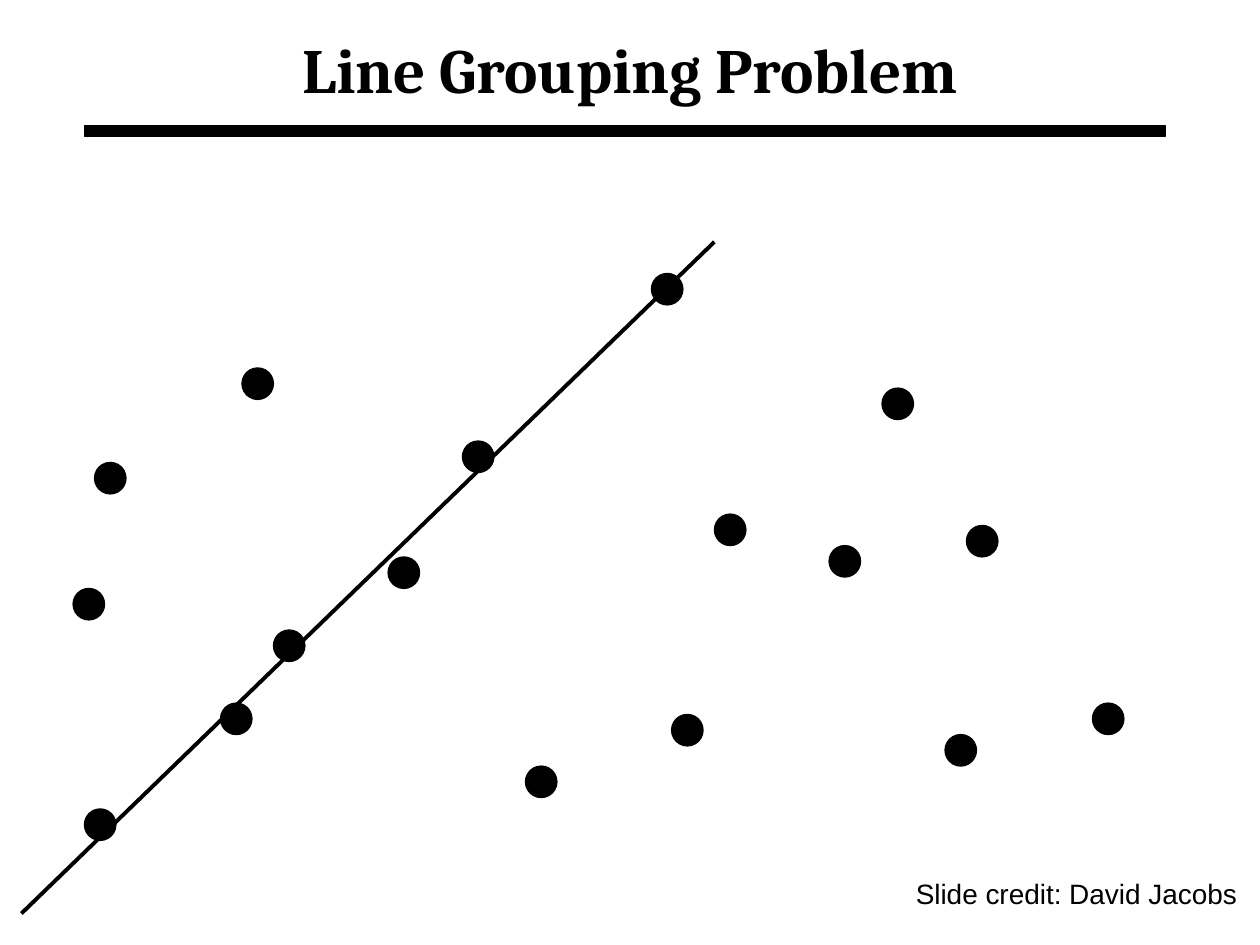
"""Build the Line Grouping Problem slide: scattered dots and one fitted line."""
from lxml.etree import SubElement
from pptx import Presentation
from pptx.dml.color import RGBColor
from pptx.enum.shapes import MSO_CONNECTOR, MSO_SHAPE
from pptx.enum.text import MSO_ANCHOR, PP_ALIGN
from pptx.oxml.ns import qn
from pptx.util import Inches, Pt

COLORS = {"ink": "000000", "paper": "FFFFFF"}
DOT_SIZE = 0.25
LINE_DOTS = [(2.17, 5), (3.08, 4.42), (3.67, 3.5), (5.17, 2.17), (1.75, 5.58), (0.67, 6.42)]
OTHER_DOTS = [
    (5.33, 5.67), (1.92, 2.92), (5.67, 4.08), (7.5, 5.83), (7.67, 4.17), (6.58, 4.33),
    (4.17, 6.08), (0.58, 4.67), (0.75, 3.67), (8.67, 5.58), (7, 3.08),
]


def color(name):
    return RGBColor.from_string(COLORS[name])


def add_solid(s, kind, x, y, w, h):
    sp = s.shapes.add_shape(kind, Inches(x), Inches(y), Inches(w), Inches(h))
    sp.shadow.inherit = False
    sp.fill.solid()
    sp.fill.fore_color.rgb = color("ink")
    sp.line.color.rgb = color("ink")
    sp.line.width = Pt(0.75)


def add_line(s, x1, y1, x2, y2):
    line = s.shapes.add_connector(
        MSO_CONNECTOR.STRAIGHT, Inches(x1), Inches(y1), Inches(x2), Inches(y2))
    line.line.color.rgb = color("ink")
    line.line.width = Pt(2.25)
    SubElement(line._element.spPr, qn("a:effectLst"))


def add_text(s, text, x, y, w, h, font, size, bold=False, wrap=True,
             align=PP_ALIGN.LEFT, anchor=MSO_ANCHOR.TOP):
    tf = s.shapes.add_textbox(Inches(x), Inches(y), Inches(w), Inches(h)).text_frame
    tf.word_wrap = wrap
    tf.vertical_anchor = anchor
    p = tf.paragraphs[0]
    p.text = text
    p.alignment = align
    p.font.name = font
    p.font.size = Pt(size)
    p.font.bold = bold
    p.font.color.rgb = color("ink")


def main():
    prs = Presentation()
    prs.slide_width, prs.slide_height = Inches(10), Inches(7.5)
    s = prs.slides.add_slide(prs.slide_layouts[6])
    s.background.fill.solid()
    s.background.fill.fore_color.rgb = color("paper")

    add_text(s, "Line Grouping Problem", 0.75, 0, 8.5, 1.08, "Cambria", 36, bold=True,
             align=PP_ALIGN.CENTER, anchor=MSO_ANCHOR.MIDDLE)
    for x, y in LINE_DOTS + OTHER_DOTS:
        add_solid(s, MSO_SHAPE.OVAL, x, y, DOT_SIZE, DOT_SIZE)
    add_line(s, 0.17, 7.25, 5.67, 1.92)
    add_text(s, "Slide credit: David Jacobs", 7.17, 6.91, 2.76, 0.37, "Arial", 16, wrap=False)
    add_solid(s, MSO_SHAPE.RECTANGLE, 0.67, 1, 8.58, 0.08)
    prs.save("out.pptx")


if __name__ == "__main__":
    main()
